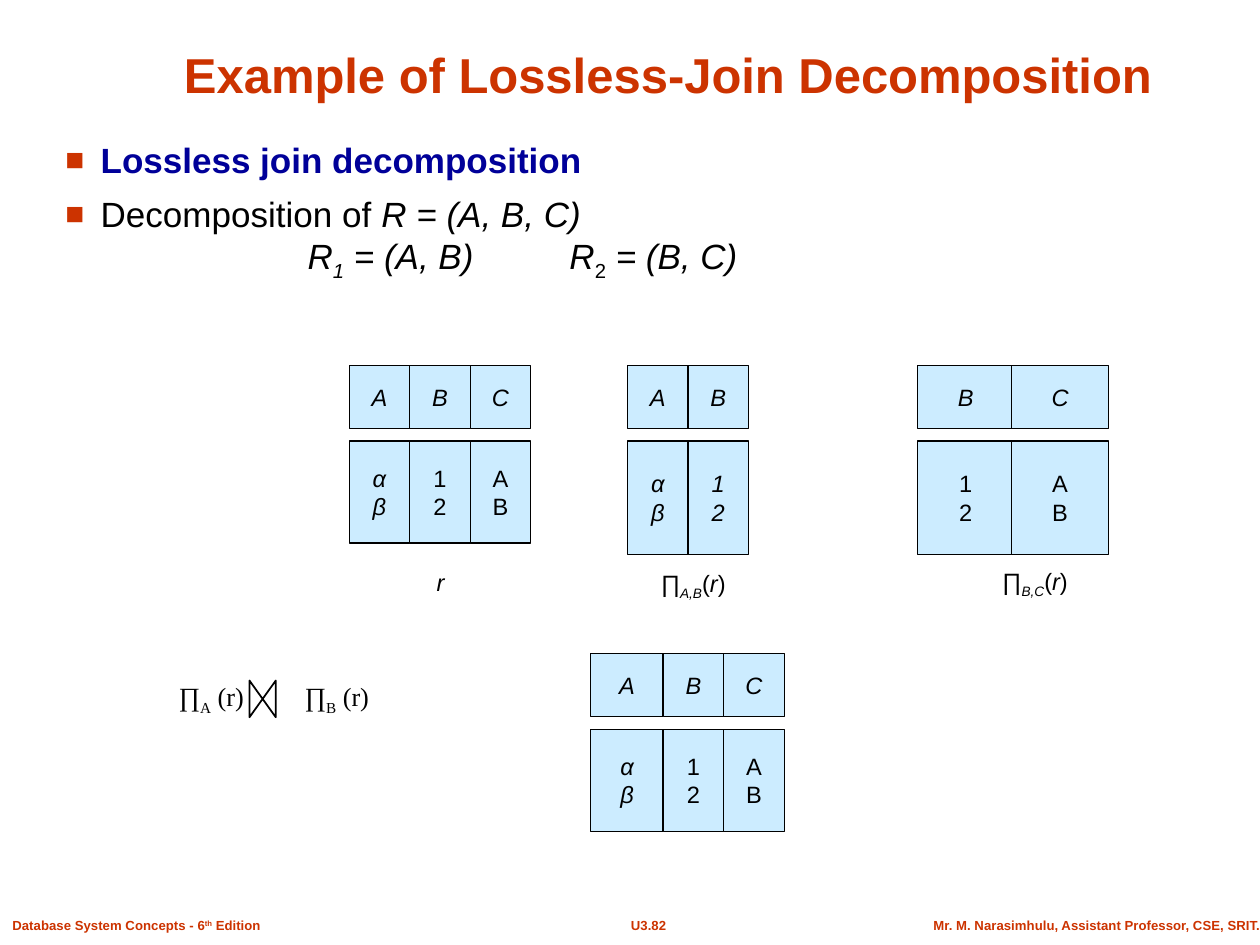
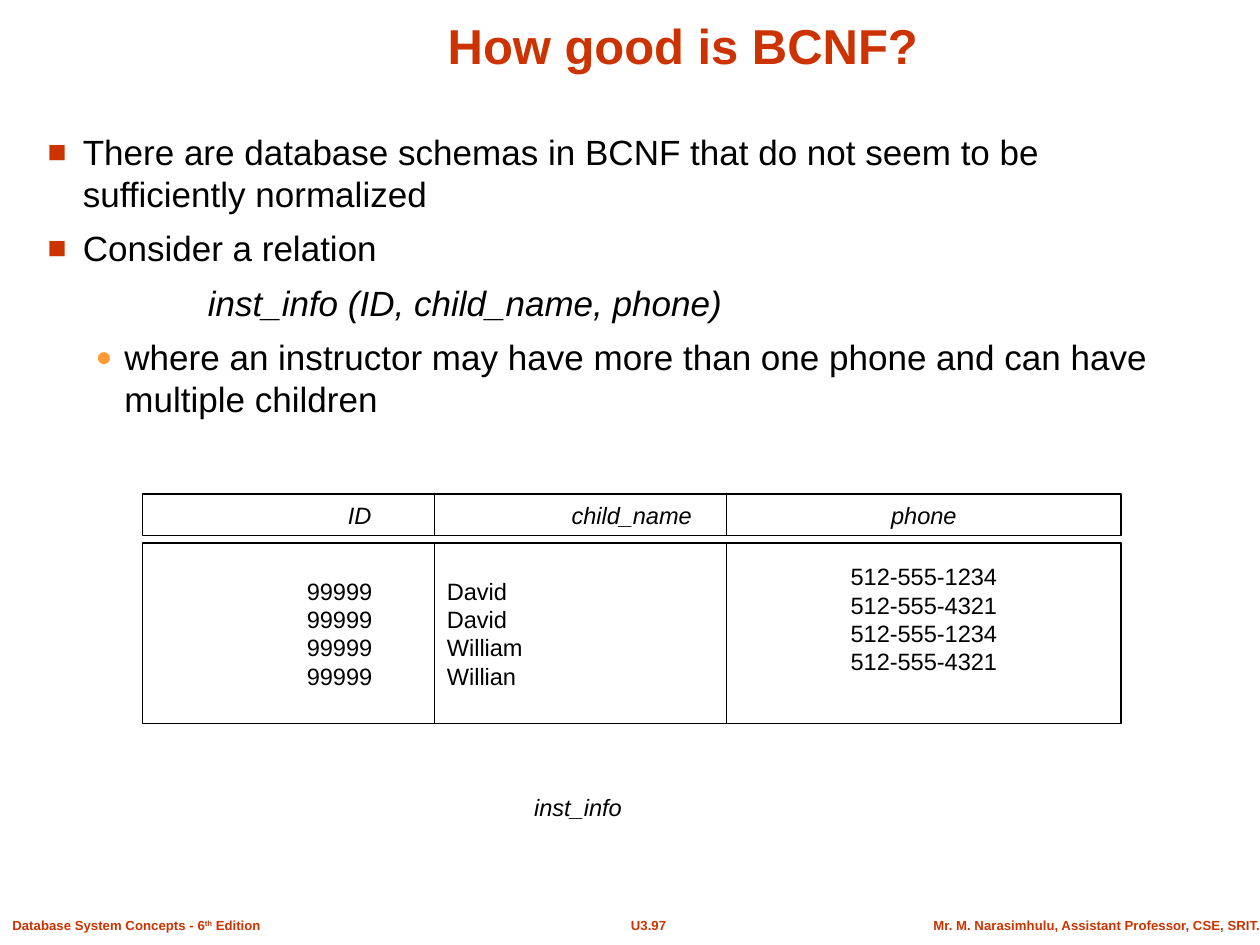
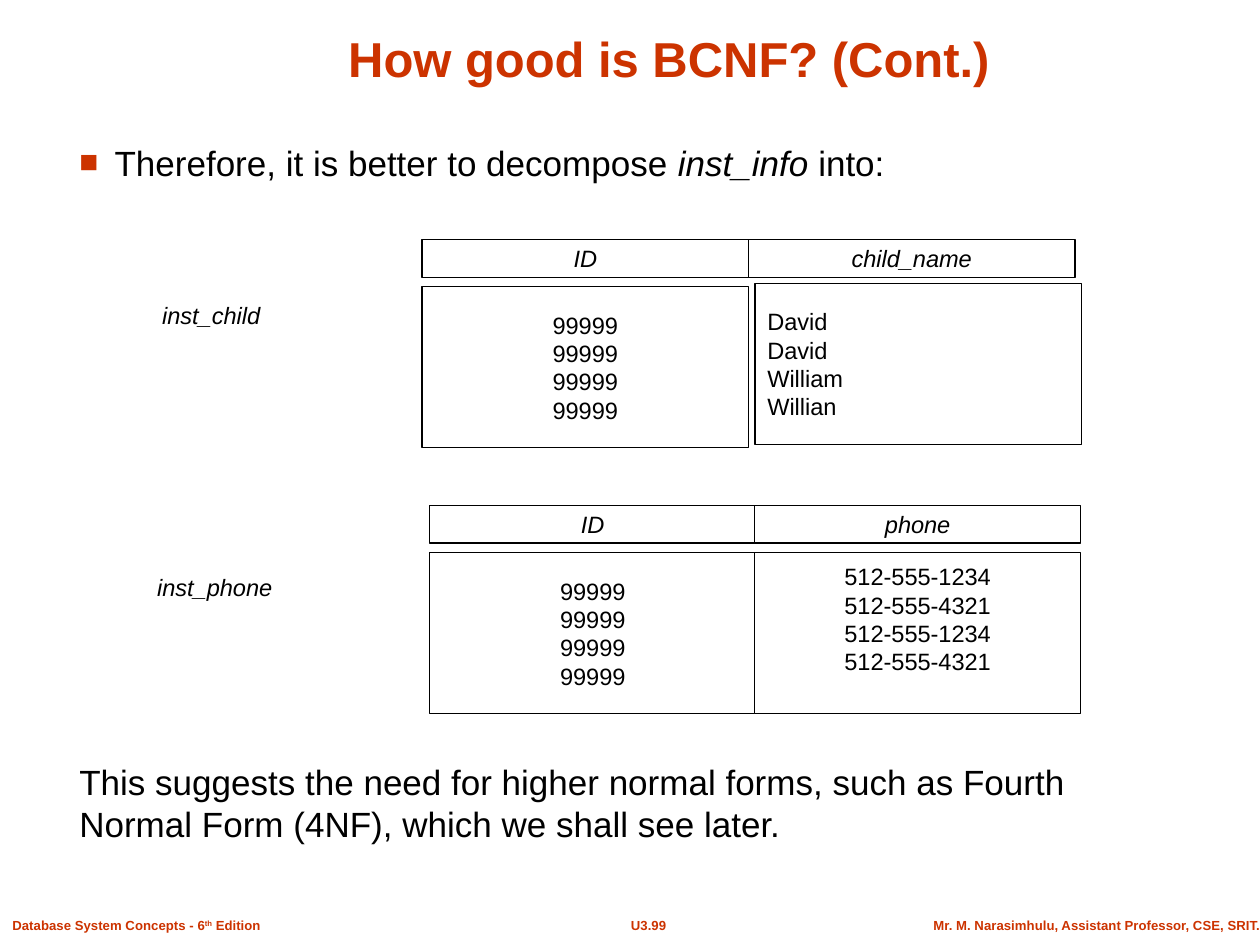
from lxml import etree
from pptx import Presentation
from pptx import util as u
from pptx.dml.color import RGBColor
from pptx.enum import shapes, text
from pptx.oxml.ns import qn

RED = RGBColor(0xCC, 0x33, 0x00)
NAVY = RGBColor(0x00, 0x00, 0x99)
ORANGE = RGBColor(0xFF, 0x99, 0x33)
BLACK = RGBColor(0x00, 0x00, 0x00)
WHITE = RGBColor(0xFF, 0xFF, 0xFF)
SKY = RGBColor(0xCC, 0xEC, 0xFF)
FONT = "Arial"
BIG, SMALL = 20, 13.5
LEFT, MID, RIGHT = text.PP_ALIGN.LEFT, text.PP_ALIGN.CENTER, text.PP_ALIGN.RIGHT

# Bullets: sign, colour, percent size, left margin and hanging indent in cm
SQUARE = dict(sign="■", tint=RED, scale=90, margin=0.71, hang=0.71)
DOT = dict(sign="●", tint=ORANGE, scale=80, margin=1.55, hang=0.58)

# A paragraph is a list of runs: plain text or (text, marks),
# with marks i italic, - subscript, + superscript.
EDITION = ["Database System Concepts - 6", ("th", "+"), " Edition"]
AUTHOR = ["Mr. M. Narasimhulu, Assistant Professor, CSE, SRIT."]
SPLIT = ["Decomposition of ", ("R = (A, B, C)", "i"), "\n",
         ("\tR", "i"), ("1", "i-"), (" = (A, B)\tR", "i"), ("2", "-"), (" = (B, C)", "i")]
JOIN = ["∏", ("A", "-"), " (r)\t∏", ("B", "-"), " (r)"]
IDS = ["99999"] * 4
KIDS = ["David", "David", "William", "Willian"]
PHONES = ["512-555-1234", "512-555-4321"] * 2
GREEK, NUMS, CAPS = ["α", "β"], ["1", "2"], ["A", "B"]


def project(names):
    return ["∏", (names, "i-"), "(", ("r", "i"), ")"]


def bullet(para, sign, tint, scale):
    props = para._p.get_or_add_pPr()
    color = etree.SubElement(props, qn("a:buClr"))
    etree.SubElement(color, qn("a:srgbClr"), val=str(tint))
    etree.SubElement(props, qn("a:buSzPct"), val=str(scale * 1000))
    etree.SubElement(props, qn("a:buFont"), typeface=FONT)
    etree.SubElement(props, qn("a:buChar"), char=sign)


def add_tabs(para, stops):
    tabs = etree.SubElement(para._p.get_or_add_pPr(), qn("a:tabLst"))
    for stop in stops:
        etree.SubElement(tabs, qn("a:tab"), pos=str(u.Cm(stop)), algn="l")


def style(para, size=SMALL, color=BLACK, bold=False, italic=False, face=FONT,
          align=LEFT, before=0, sign=None, tint=None, scale=100,
          margin=0, hang=0, tabs=()):
    props = para._p.get_or_add_pPr()
    props.set("marL", str(u.Cm(margin)))
    props.set("indent", str(u.Cm(-hang)))
    if sign:
        bullet(para, sign, tint, scale)
    if tabs:
        add_tabs(para, tabs)
    para.alignment = align
    para.space_before = u.Pt(before)
    font = para.font
    font.name, font.size = face, u.Pt(size)
    font.bold, font.italic = bold, italic
    font.color.rgb = color


def write(frame, paras, **look):
    """Fill a frame with (runs, own look) pairs on top of a common look."""
    for i, (runs, own) in enumerate(paras):
        para = frame.add_paragraph() if i else frame.paragraphs[0]
        style(para, **{**look, **own, **({} if i else {"before": 0})})
        for part in runs:
            if part == "\n":
                para.add_line_break()
                continue
            words, marks = (part, "") if isinstance(part, str) else part
            run = para.add_run()
            run.text = words
            if "i" in marks:
                run.font.italic = True
            for mark, shift in (("-", "-25000"), ("+", "30000")):
                if mark in marks:
                    run._r.get_or_add_rPr().set("baseline", shift)


def add_text(slide, box, paras, anchor=text.MSO_ANCHOR.TOP, **look):
    frame = slide.shapes.add_textbox(*map(u.Cm, box)).text_frame
    frame.word_wrap = True
    frame.vertical_anchor = anchor
    write(frame, paras, **look)
    return frame


def add_cell(slide, box, rows, fill, low=0.13, **look):
    cell = slide.shapes.add_shape(shapes.MSO_SHAPE.RECTANGLE, *map(u.Cm, box))
    cell.shadow.inherit = False
    cell.fill.solid()
    cell.fill.fore_color.rgb = fill
    cell.line.color.rgb = BLACK
    cell.line.width = u.Pt(0.75)
    frame = cell.text_frame
    frame.word_wrap = True
    frame.vertical_anchor = text.MSO_ANCHOR.MIDDLE
    frame.margin_bottom = u.Cm(low)
    write(frame, [([row], {}) for row in rows], **look)


def add_grid(slide, left, top, cols, head, drop, tall, fill):
    """Draw header cells and, drop below their top, the body cells.

    A column is (name, rows, width, options): step to the next column,
    wide for the header, move for the body, and the look of the body.
    """
    for name, rows, width, more in cols:
        more = {"align": MID, **more}
        step = more.pop("step", width)
        wide = more.pop("wide", width)
        dx, dy = more.pop("move", (0, 0))
        add_cell(slide, (left, top, wide, head), [name], fill, italic=True, align=MID)
        add_cell(slide, (left + dx, top + drop + dy, width, tall), rows, fill, **more)
        left += step


def add_bow(slide, left, top, width, height):
    """Draw the join sign."""
    x, y, right, low = map(u.Cm, (left, top, left + width, top + height))
    pen = slide.shapes.build_freeform(x, y)
    pen.add_line_segments([(x, low), (right, y), (right, low)], close=True)
    bow = pen.convert_to_shape()
    bow.shadow.inherit = False
    bow.fill.background()
    bow.line.color.rgb = BLACK
    bow.line.width = u.Pt(1)


def add_slide(deck, title, box, page):
    slide = deck.slides.add_slide(deck.slide_layouts[5])
    head = slide.shapes.title
    head.left, head.top, head.width, head.height = map(u.Cm, box)
    frame = head.text_frame
    frame.vertical_anchor = text.MSO_ANCHOR.BOTTOM
    frame.auto_size = text.MSO_AUTO_SIZE.NONE
    write(frame, [([title], {})], size=28, color=RED, bold=True, align=MID)
    for left, width, runs, align in ((0, 5.54, EDITION, LEFT),
                                     (12.2, 1.75, [page], MID),
                                     (18.2, 7.2, AUTHOR, RIGHT)):
        foot = add_text(slide, (left, 18.36, width, 0.58), [(runs, {})],
                        size=7.5, color=RED, bold=True, align=align)
        if align == RIGHT:
            foot.margin_right = 0
    return slide


def add_lossless(deck):
    slide = add_slide(deck, "Example of Lossless-Join Decomposition",
                      (2.81, 0.74, 21.31, 1.47), "U3.82")
    add_text(slide, (1.07, 2.67, 23.62, 3.43),
             [(["Lossless join decomposition"], {"color": NAVY, "bold": True}),
              (SPLIT, {"tabs": (4.88, 10.16)})],
             size=BIG, before=7, **SQUARE)
    slim, wide = 1.22, 1.96
    slant = {"italic": True}
    numbers, letters = ("B", NUMS, slim, {}), ("C", CAPS, slim, {})
    grids = [
        (7.04, 7.37, 2.06, [("A", GREEK, slim, slant), numbers, letters]),
        (12.65, 7.37, 2.29, [("A", GREEK, slim, slant), ("B", NUMS, slim, slant)]),
        (18.49, 7.37, 2.29, [("B", NUMS, wide, {"step": 1.9}), ("C", CAPS, wide, {})]),
        (11.91, 13.18, 2.06, [("A", GREEK, 1.46, slant), numbers, letters]),
    ]
    for left, top, tall, cols in grids:
        add_grid(slide, left, top, cols, 1.27, 1.52, tall, SKY)
    for left, top, width, runs in ((8.36, 11.07, 1.04, [("r", "i")]),
                                   (11.89, 11.13, 4.17, project("A,B")),
                                   (19.2, 11.1, 3.33, project("B,C"))):
        add_text(slide, (left, top, width, 1.32), [(runs, {})],
                 anchor=text.MSO_ANCHOR.MIDDLE, align=MID)
    add_text(slide, (3.35, 13.59, 8.05, 2.87), [(JOIN, {"tabs": (1.98,)})],
             size=15, face="Times New Roman")
    add_bow(slide, 5.03, 13.72, 0.53, 0.74)


def add_bcnf(deck):
    slide = add_slide(deck, "How good is BCNF?", (6.35, 0.3, 14.83, 1.32), "U3.97")
    add_text(slide, (0.71, 2.51, 23.22, 5.28),
             [(["There are database schemas in BCNF that do not seem to be "
                "sufficiently normalized"], SQUARE),
              (["Consider a relation"], SQUARE),
              (["inst_info (ID, child_name, phone)"], {"italic": True, "margin": 3.23}),
              (["where an instructor may have more than one phone and can have "
                "multiple children"], DOT)],
             size=BIG, before=7)
    cols = [("ID", IDS, 7.95, {"step": 5.89, "wide": 8.76}),
            ("child_name", KIDS, 7.95, {"step": 5.89, "align": LEFT}),
            ("phone", PHONES, 7.95, {"low": 0.7})]
    add_grid(slide, 2.87, 9.96, cols, 0.84, 0.99, 3.63, WHITE)
    add_text(slide, (10.52, 15.85, 4.11, 1.04), [(["inst_info"], {})], italic=True)


def add_cont(deck):
    slide = add_slide(deck, "How good is BCNF? (Cont.)", (5.99, 0.41, 14.99, 1.47), "U3.99")
    add_text(slide, (1.35, 2.72, 23.04, 1.24),
             [(["Therefore, it is better to decompose ", ("inst_info ", "i"), "into:"], {})],
             size=BIG, **SQUARE)
    add_text(slide, (1.35, 15.21, 22.12, 2.16),
             [(["This suggests the need for higher normal forms, such as Fourth "
                "Normal Form (4NF), which we shall see later."], {})], size=BIG)
    width = 6.58
    child = [("ID", IDS, width, {}),
             ("child_name", KIDS, width, {"align": LEFT, "move": (0.13, -0.07)})]
    phone = [("ID", IDS, width, {"step": 6.55}), ("phone", PHONES, width, {"low": 0.7})]
    for left, top, cols in ((8.51, 4.83, child), (8.66, 10.19, phone)):
        add_grid(slide, left, top, cols, 0.76, 0.95, 3.25, WHITE)
    for left, top, name in ((3.02, 5.94, "inst_child"), (2.92, 11.43, "inst_phone")):
        add_text(slide, (left, top, 4.24, 0.99), [([name], {})], italic=True)


def main():
    deck = Presentation()
    deck.slide_width, deck.slide_height = u.Cm(25.4), u.Cm(19.05)
    add_lossless(deck)
    add_bcnf(deck)
    add_cont(deck)
    deck.save("out.pptx")


if __name__ == "__main__":
    main()
